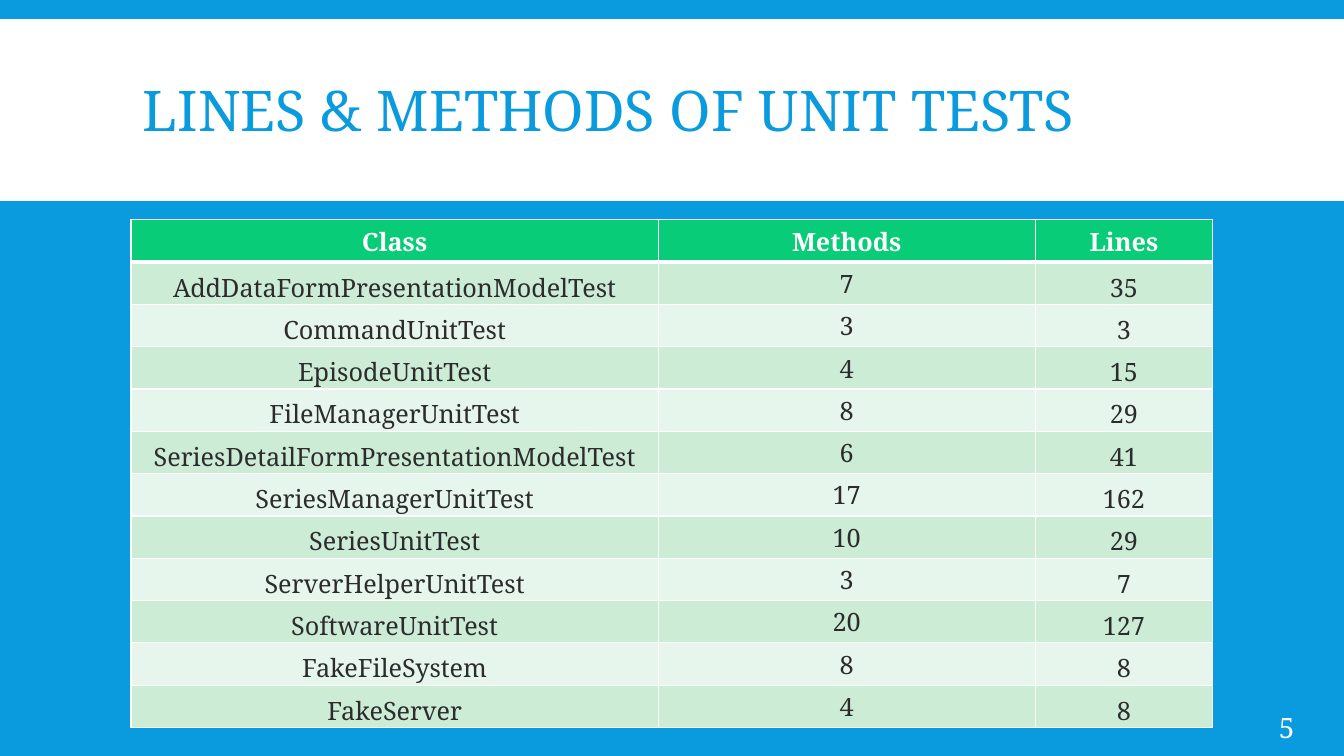
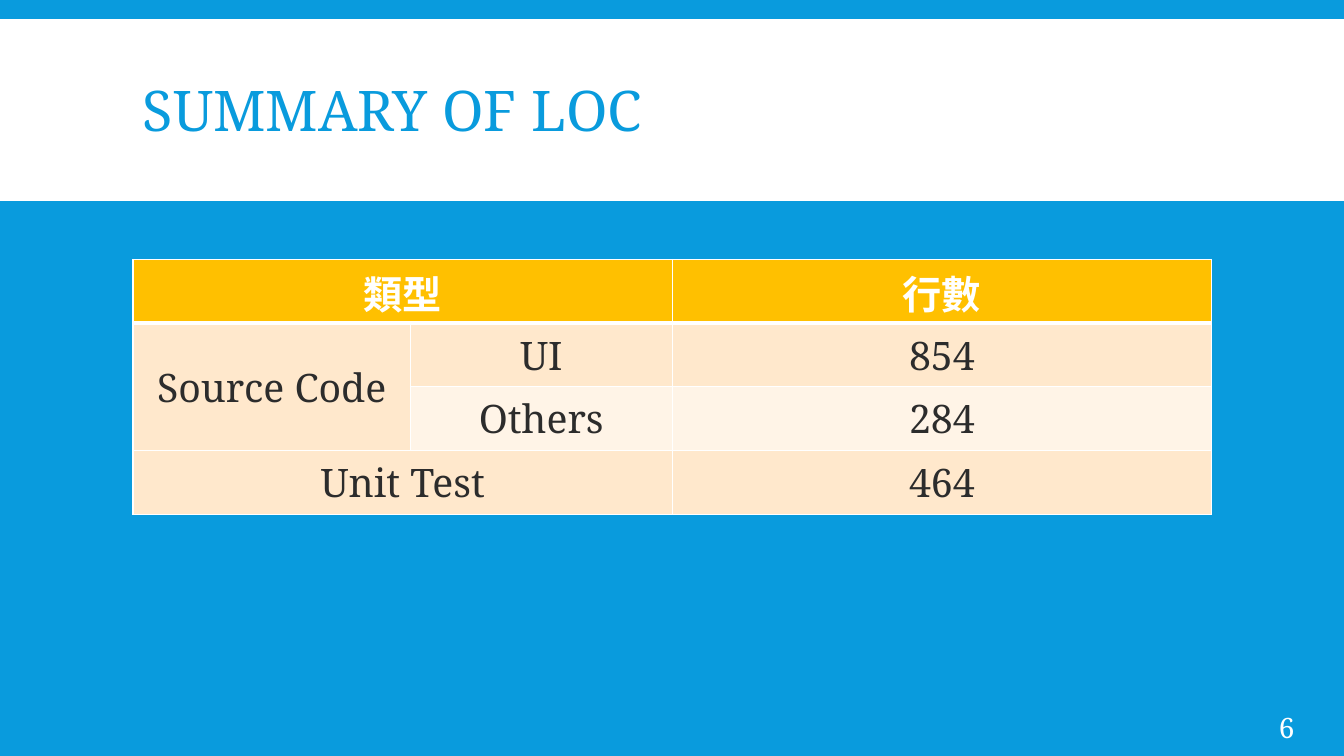
from lxml import etree
from pptx import Presentation
from pptx.dml.color import RGBColor
from pptx.enum import shapes, text
from pptx.oxml import ns
from pptx.util import Pt

BLUE, WHITE, INK = "099BDD", "FFFFFF", "2C2C2C"
GREENS = ("08CC78", "CCECD6", "E7F6EC")
AMBERS = ("FFC000", "FFE8CC", "FFF4E7")
FONT = "Noto Serif"
MIDDLE, BOTTOM = text.MSO_ANCHOR.MIDDLE, text.MSO_ANCHOR.BOTTOM


def color(code):
    """Turn a hex string into a colour."""
    return RGBColor.from_string(code)


def add_border(cell, side, width):
    """Draw one white edge (L, R, T or B) of a cell."""
    edge = etree.Element(ns.qn("a:ln" + side), w=str(Pt(width)))
    fill = etree.SubElement(edge, ns.qn("a:solidFill"))
    etree.SubElement(fill, ns.qn("a:srgbClr"), val=WHITE)
    cell._tc.get_or_add_tcPr().insert("LRTB".index(side), edge)


class Deck:
    """Holds the shared style and the current slide."""

    def __init__(self):
        """Start a widescreen presentation."""
        self.file = Presentation()
        self.file.slide_width, self.file.slide_height = Pt(960), Pt(540)
        self.slide = None

    def add_slide(self, title, number):
        """Add a slide with its background, title band and page number."""
        self.slide = self.file.slides.add_slide(self.file.slide_layouts[6])
        background = self.slide.background.fill
        background.solid()
        background.fore_color.rgb = color(BLUE)
        self.add_band(0, 13.7, 960, 129.8)
        heading = self.add_text(title, (95, 22.3, 770, 118.8), 40, BLUE)
        heading.paragraphs[0].line_spacing = 0.85
        page = self.add_text(number, (910, 505.4, 50, 28.8), 20, WHITE)
        page.margin_left = Pt(3.6)

    def add_band(self, *box):
        """Add a white band without outline."""
        band = self.slide.shapes.add_shape(
            shapes.MSO_SHAPE.RECTANGLE, *map(Pt, box))
        band.shadow.inherit = False
        band.fill.solid()
        band.fill.fore_color.rgb = color(WHITE)
        band.line.fill.background()

    def add_text(self, words, box, size, ink):
        """Add a vertically centred text box and return its frame."""
        frame = self.slide.shapes.add_textbox(*map(Pt, box)).text_frame
        frame.word_wrap = True
        frame.vertical_anchor = MIDDLE
        frame.text = words
        self.style(frame.paragraphs[0], size, ink)
        return frame

    def style(self, paragraph, size, ink, bold=False):
        """Format the runs of a paragraph."""
        for run in paragraph.runs:
            run.font.name, run.font.size = FONT, Pt(size)
            run.font.bold = bold
            run.font.color.rgb = color(ink)

    def add_table(self, rows, corner, widths, height, size, fills,
                  anchors=(MIDDLE,) * 3, margins=(7.2, 3.6, 7.2, 3.6), spans=()):
        """Add a banded table; spans lists pairs of (row, column) corners."""
        left, top = corner
        table = self.slide.shapes.add_table(
            len(rows), len(widths), Pt(left), Pt(top),
            Pt(sum(widths)), Pt(height * len(rows))).table
        for column, width in zip(table.columns, widths):
            column.width = Pt(width)
        for r, row in enumerate(rows):
            table.rows[r].height = Pt(height)
            for c, words in enumerate(row):
                cell = table.cell(r, c)
                cell.text = words
                self.style_cell(cell, r, size, fills, margins,
                                anchors[c] if r else MIDDLE)
        for first, last in spans:
            table.cell(*first).merge(table.cell(*last))

    def style_cell(self, cell, r, size, fills, margins, anchor):
        """Format one cell by its row: header first, then alternating bands."""
        cell.fill.solid()
        cell.fill.fore_color.rgb = color(fills[2 - r % 2] if r else fills[0])
        (cell.margin_left, cell.margin_top,
         cell.margin_right, cell.margin_bottom) = map(Pt, margins)
        cell.vertical_anchor = anchor
        paragraph = cell.text_frame.paragraphs[0]
        paragraph.alignment = text.PP_ALIGN.CENTER
        self.style(paragraph, size, INK if r else WHITE, bold=r == 0)
        for side in "LRTB":
            under_header = (r, side) in ((0, "B"), (1, "T"))
            add_border(cell, side, 3 if under_header else 1)


UNIT_TESTS = [
    ("Class", "Methods", "Lines"),
    ("AddDataFormPresentationModelTest", "7", "35"),
    ("CommandUnitTest", "3", "3"),
    ("EpisodeUnitTest", "4", "15"),
    ("FileManagerUnitTest", "8", "29"),
    ("SeriesDetailFormPresentationModelTest", "6", "41"),
    ("SeriesManagerUnitTest", "17", "162"),
    ("SeriesUnitTest", "10", "29"),
    ("ServerHelperUnitTest", "3", "7"),
    ("SoftwareUnitTest", "20", "127"),
    ("FakeFileSystem", "8", "8"),
    ("FakeServer", "4", "8"),
]
LOC_SUMMARY = [
    ("類型", "", "行數"),
    ("Source Code", "UI", "854"),
    ("", "Others", "284"),
    ("Unit Test", "", "464"),
]

deck = Deck()
deck.add_slide("LINES & METHODS OF UNIT TESTS", "5")
deck.add_table(UNIT_TESTS, (93.6, 157), (376.6, 269.3, 126.7), 30.24, 18, GREENS,
               anchors=(BOTTOM, MIDDLE, BOTTOM), margins=(0.7, 0.7, 0.7, 0))

deck.add_slide("SUMMARY OF LOC", "6")
deck.add_table(LOC_SUMMARY, (95, 185.3), (198, 187.2, 385.2), 45.5, 28, AMBERS,
               spans=[((0, 0), (0, 1)), ((1, 0), (2, 0)), ((3, 0), (3, 1))])

deck.file.save("out.pptx")
